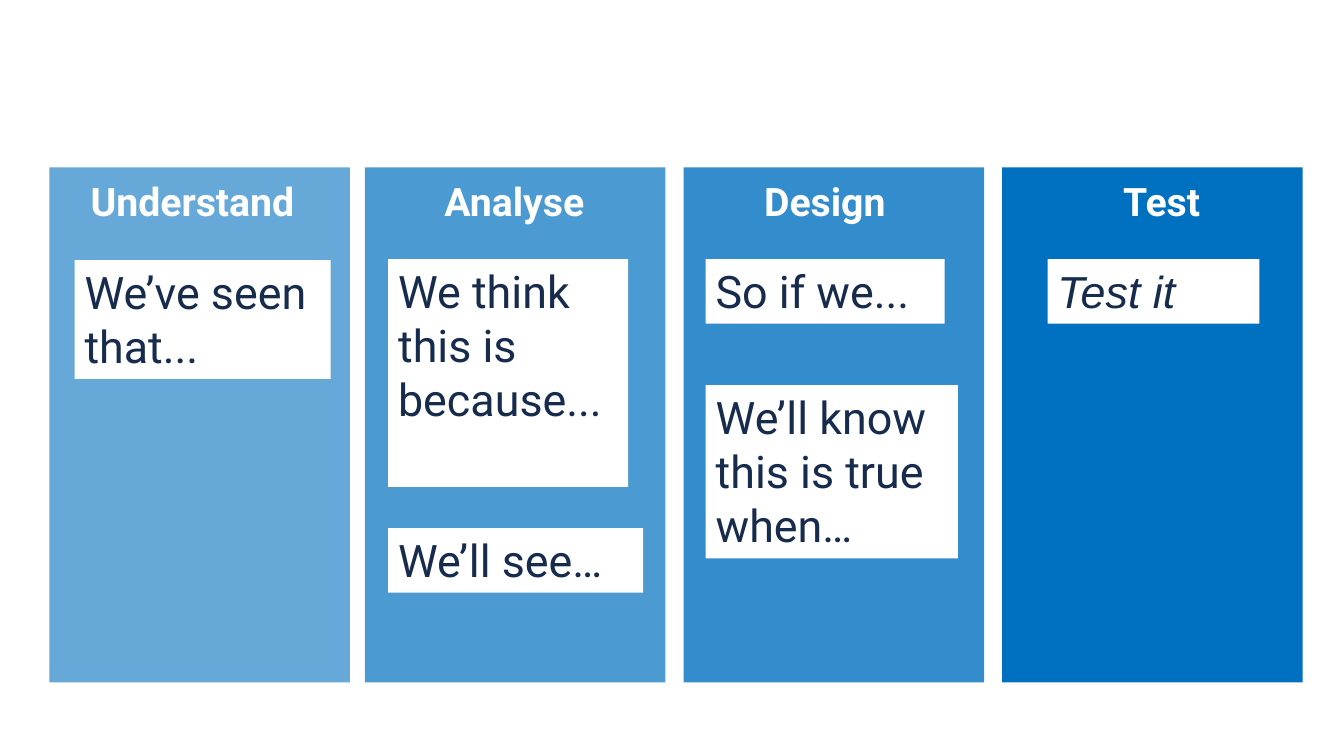
from pptx import Presentation
from pptx.dml.color import RGBColor
from pptx.enum.shapes import MSO_SHAPE
from pptx.enum.text import MSO_ANCHOR, MSO_AUTO_SIZE, PP_ALIGN
from pptx.oxml.ns import qn
from pptx.util import Inches, Pt
from lxml import etree

BLUE = RGBColor(0x00, 0x70, 0xC0)
WHITE = RGBColor(0xFF, 0xFF, 0xFF)
NAVY = RGBColor(0x17, 0x2B, 0x4D)

# Stages: name, panel left, opacity in percent, heading left and width, cards
# Cards: text, left, top, width, height
STAGES = [
    ("Understand", 0.49, 60, 0.8, 2.38,
     [("We’ve seen\vthat...", 0.74, 2.58, 2.54, 1.18)]),
    ("Analyse", 3.62, 70, 4.31, 2.06,
     [("We think this is because...", 3.85, 2.57, 2.38, 2.26),
      ("We’ll see…", 3.85, 5.24, 2.53, 0.64)]),
    ("Design", 6.78, 80, 7.48, 2.06,
     [("So if we...", 7, 2.57, 2.37, 0.64),
      ("We’ll know\vthis is true\vwhen…", 7, 3.82, 2.5, 1.72)]),
    ("Test", 9.94, 100, 11.04, 2.06,
     [("Test it", 10.39, 2.57, 2.1, 0.64)]),
]
PANEL_TOP, PANEL_WIDTH, PANEL_HEIGHT = 1.66, 2.98, 5.11
HEADING_TOP, HEADING_HEIGHT = 1.71, 0.71
ITALIC_CARD = "Test it"

prs = Presentation()
prs.slide_width, prs.slide_height = Inches(13.33), Inches(7.5)
slide = prs.slides.add_slide(prs.slide_layouts[6])


def add_block(left, top, width, height, color, opacity=100):
    block = slide.shapes.add_shape(
        MSO_SHAPE.RECTANGLE, *map(Inches, (left, top, width, height)))
    block.shadow.inherit = False
    block.line.fill.background()
    block.fill.solid()
    block.fill.fore_color.rgb = color
    if opacity < 100:
        srgb = block.fill._xPr.find(".//" + qn("a:srgbClr"))
        etree.SubElement(srgb, qn("a:alpha"), val=str(opacity * 1000))
    return block


def write(shape, text, size, color, font="Roboto", bold=False, italic=False):
    frame = shape.text_frame
    frame.word_wrap = True
    frame.vertical_anchor = MSO_ANCHOR.TOP
    frame.text = text
    paragraph = frame.paragraphs[0]
    paragraph.alignment = PP_ALIGN.LEFT
    paragraph.font.name = font
    paragraph.font.size = Pt(size)
    paragraph.font.bold = bold
    paragraph.font.italic = italic
    paragraph.font.color.rgb = color
    return frame


for name, left, opacity, heading_left, heading_width, cards in STAGES:
    # Panel and heading
    add_block(left, PANEL_TOP, PANEL_WIDTH, PANEL_HEIGHT, BLUE, opacity)
    heading = slide.shapes.add_textbox(*map(
        Inches, (heading_left, HEADING_TOP, heading_width, HEADING_HEIGHT)))
    write(heading, name, 28, WHITE, bold=True)

    # Cards on the panel
    for text, *place in cards:
        italic = text == ITALIC_CARD
        card = add_block(*place, WHITE)
        frame = write(card, text, 32, NAVY,
                      font="Arial" if italic else "Roboto", italic=italic)
        frame.auto_size = MSO_AUTO_SIZE.SHAPE_TO_FIT_TEXT
        frame.paragraphs[0].space_after = Pt(18)

prs.save("out.pptx")
